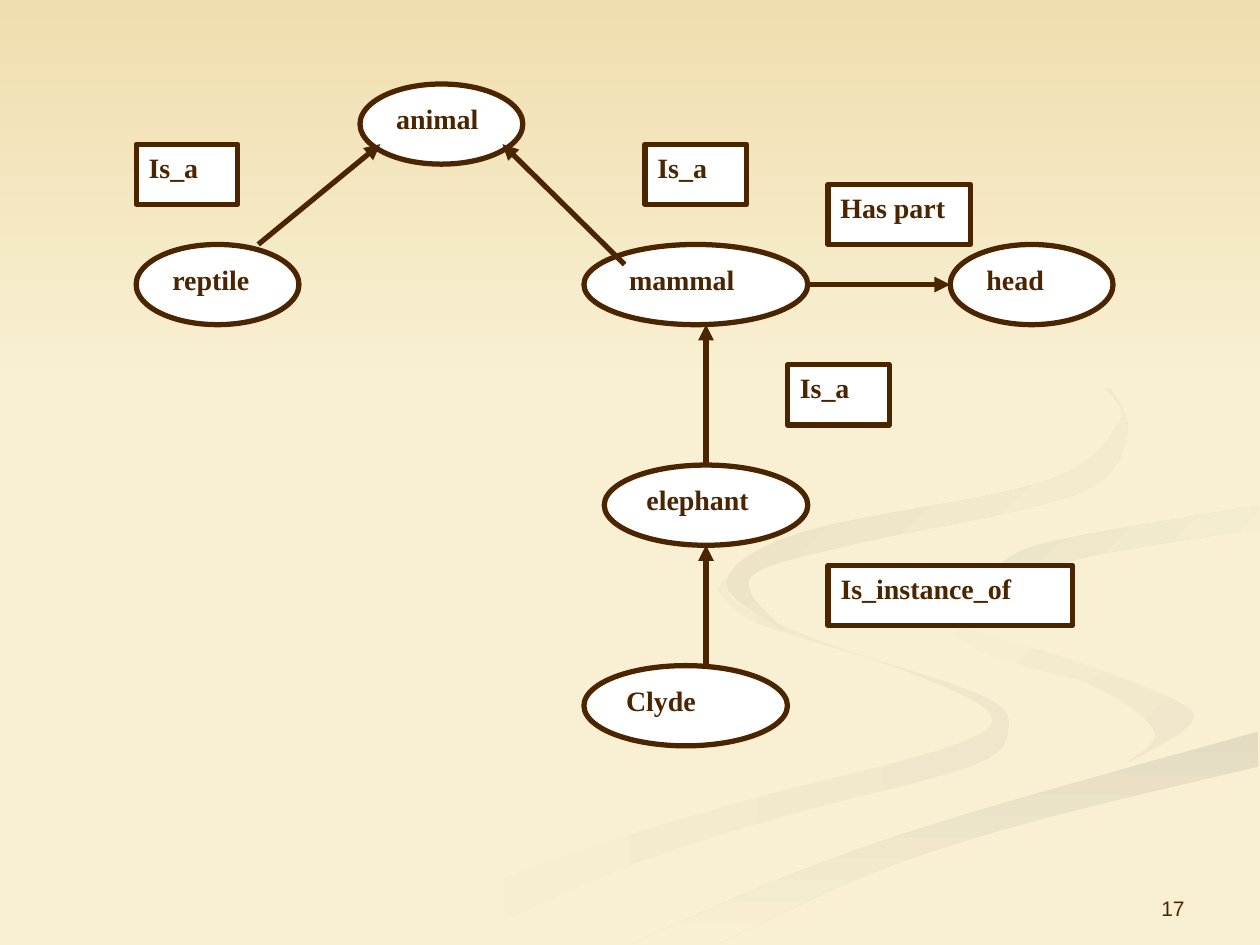
from lxml import etree
from pptx import Presentation
from pptx.dml.color import RGBColor
from pptx.enum.shapes import MSO_CONNECTOR, MSO_SHAPE
from pptx.enum.text import MSO_ANCHOR, PP_ALIGN
from pptx.oxml.ns import qn
from pptx.util import Pt

OVAL, RECT = MSO_SHAPE.OVAL, MSO_SHAPE.RECTANGLE
STRAIGHT = MSO_CONNECTOR.STRAIGHT
TOP_ANCHOR, BOTTOM = MSO_ANCHOR.TOP, MSO_ANCHOR.BOTTOM
LEFT_ALIGN, RIGHT = PP_ALIGN.LEFT, PP_ALIGN.RIGHT
BROWN, CREAM, SAND, WHITE = "4B2500", "F9F0D3", "EFDEAF", "FFFFFF"
STEPS = 6
rgb = RGBColor.from_string


def shade(sp, start, end, angle):
    sp.shadow.inherit = False
    sp.line.fill.background()
    sp.fill.gradient()
    sp.fill.gradient_angle = (360 - angle) % 360
    for stop, color in zip(sp.fill.gradient_stops, (start, end)):
        stop.color.rgb = rgb(color)


def write(p, text, font, size, bold):
    r = p.add_run()
    r.text = text
    r.font.name = font
    r.font.size = Pt(size)
    r.font.bold = bold
    r.font.color.rgb = rgb(BROWN)


prs = Presentation()
prs.slide_width, prs.slide_height = Pt(720), Pt(540)
s = prs.slides.add_slide(prs.slide_layouts[6])
s.background.fill.solid()
s.background.fill.fore_color.rgb = rgb(CREAM)

ribbons = [
    (CREAM, "EFE6CB", 0,
     [(414, 330), (423, 346), (476, 369), (562, 398), (576, 418), (554, 438),
      (449, 466), (359, 495), (260, 539)],
     [(216, 539), (300, 497), (417, 460), (539, 428), (566, 408), (514, 382),
      (433, 356), (410, 337)]),
    (CREAM, "EFE6CB", 45,
     [(521, 334), (536, 353), (612, 377), (673, 401), (679, 415), (644, 436)],
     [(644, 436), (660, 418), (625, 392), (562, 373), (523, 345)]),
    ("E4DCC2", CREAM, 90,
     [(362, 539), (454, 499), (550, 466), (719, 418)],
     [(719, 438), (591, 469), (500, 498), (411, 539)]),
    ("EBE3C7", CREAM, 45,
     [(562, 331), (583, 315), (623, 305), (719, 289)],
     [(719, 302), (618, 319), (582, 336), (595, 357), (570, 344)]),
    ("E8DFC4", CREAM, 45,
     [(634, 221), (644, 248), (616, 282), (492, 310), (436, 325), (429, 339),
      (448, 360)],
     [(448, 360), (415, 333), (459, 304), (598, 275), (640, 241), (631, 221)]),
]
for start, end, angle, *edges in ribbons:
    pts = []
    for edge in edges:
        ends = [edge[0], *edge, edge[-1]]
        for quad in zip(ends, ends[1:], ends[2:], ends[3:]):
            for i in range(STEPS):
                t = i / STEPS
                pts.append([Pt(b + t * (c - a) / 2
                               + t**2 * (2 * a - 5 * b + 4 * c - d) / 2
                               + t**3 * (3 * b - a - 3 * c + d) / 2)
                            for a, b, c, d in zip(*quad)])
        pts.append([Pt(v) for v in edge[-1]])
    fb = s.shapes.build_freeform(*pts[0])
    fb.add_line_segments(pts[1:])
    shade(fb.convert_to_shape(), start, end, angle)

shade(s.shapes.add_shape(RECT, 0, 0, Pt(720), Pt(222)), SAND, CREAM, 90)

sp = s.shapes.add_textbox(Pt(516), Pt(492), Pt(168), Pt(37.5))
tf = sp.text_frame
tf.word_wrap = True
tf.vertical_anchor = BOTTOM
tf.paragraphs[0].alignment = RIGHT
write(tf.paragraphs[0], "17", "Arial", 12, False)

LEFT, TOP, COL, ROW = 77.8, 48, 11.63, 11.46
nodes = [
    ("animal", OVAL, 11, 0, 8),
    ("Is_a", RECT, 0, 3, 5),
    ("Is_a", RECT, 25, 3, 5),
    ("reptile", OVAL, 0, 8, 8),
    ("mammal", OVAL, 22, 8, 11),
    ("head", OVAL, 40, 8, 8),
    ("Has part", RECT, 34, 5, 7),
    ("Is_a", RECT, 32, 14, 5),
    ("elephant", OVAL, 23, 19, 10),
    ("Clyde", OVAL, 22, 29, 10),
    ("Is_instance_of", RECT, 34, 24, 12),
]
for text, kind, col, row, cols in nodes:
    rows = 4 if kind == OVAL else 3
    sp = s.shapes.add_shape(kind, Pt(LEFT + col * COL), Pt(TOP + row * ROW),
                            Pt(cols * COL), Pt(rows * ROW))
    sp.shadow.inherit = False
    sp.fill.solid()
    sp.fill.fore_color.rgb = rgb(WHITE)
    sp.line.color.rgb = rgb(BROWN)
    sp.line.width = Pt(3)
    tf = sp.text_frame
    tf.word_wrap = True
    tf.vertical_anchor = TOP_ANCHOR
    tf.paragraphs[0].alignment = LEFT_ALIGN
    write(tf.paragraphs[0], text, "Times New Roman", 16, True)

arrows = [(6, 8, 12, 3), (24, 9, 18, 3), (33, 10, 40, 10),
          (28, 19, 28, 12), (28, 29, 28, 23)]
for x1, y1, x2, y2 in arrows:
    cx = s.shapes.add_connector(STRAIGHT, Pt(LEFT + x1 * COL), Pt(TOP + y1 * ROW),
                                Pt(LEFT + x2 * COL), Pt(TOP + y2 * ROW))
    cx.line.color.rgb = rgb(BROWN)
    cx.line.width = Pt(3)
    spPr = cx._element.spPr
    etree.SubElement(spPr.find(qn("a:ln")), qn("a:tailEnd"), type="triangle")
    etree.SubElement(spPr, qn("a:effectLst"))

prs.save("out.pptx")
